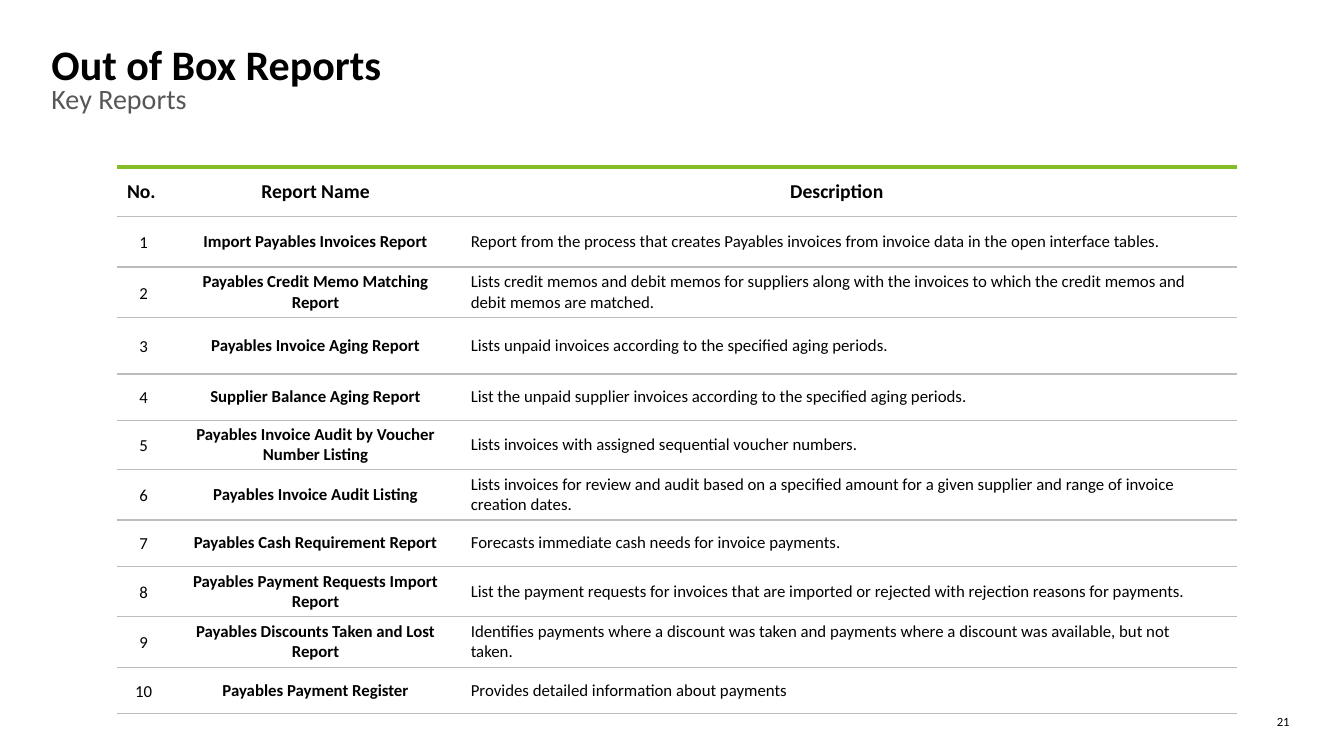
from lxml import etree
from pptx import Presentation
from pptx.dml.color import RGBColor
from pptx.enum import text
from pptx.oxml import ns
from pptx.util import Inches, Pt

BLACK, GREY, WHITE = "000000", "575757", "FFFFFF"
GREEN, RULE = "86BC25", "BCBCB9"
LEFT, CENTER, RIGHT = text.PP_ALIGN.LEFT, text.PP_ALIGN.CENTER, text.PP_ALIGN.RIGHT

COLUMN_WIDTHS = [0.53, 2.88, 7.46, 0.23]
ROW_HEIGHTS = [0.49, 0.5, 0.5, 0.56, 0.46, 0.49, 0.5, 0.46, 0.5, 0.5, 0.46]
HEADINGS = ["No.\u00a0", "Report Name", "Description", ""]
REPORTS = [
    ("Import Payables Invoices Report",
     "Report from the process that creates Payables invoices from invoice data in the open interface tables."),
    ("Payables Credit Memo Matching Report",
     "Lists credit memos and debit memos for suppliers along with the invoices to which the credit memos and "
     "debit memos are matched."),
    ("Payables Invoice Aging Report",
     "Lists unpaid invoices according to the specified aging periods."),
    ("Supplier Balance Aging Report",
     "List the unpaid supplier invoices according to the specified aging periods."),
    ("Payables Invoice Audit by Voucher Number Listing",
     "Lists invoices with assigned sequential voucher numbers."),
    ("Payables Invoice Audit Listing",
     "Lists invoices for review and audit based on a specified amount for a given supplier and range of invoice "
     "creation dates."),
    ("Payables Cash Requirement Report",
     "Forecasts immediate cash needs for invoice payments."),
    ("Payables Payment Requests Import Report",
     "List the payment requests for invoices that are imported or rejected with rejection reasons for payments."),
    ("Payables Discounts Taken and Lost Report",
     "Identifies payments where a discount was taken and payments where a discount was available, but not taken."),
    ("Payables Payment Register",
     "Provides detailed information about payments"),
]


def color(value):
    return RGBColor.from_string(value)


def write(paragraph, words, size, fill=BLACK, bold=False, align=LEFT):
    paragraph.text = words
    paragraph.alignment = align
    font = paragraph.font
    font.name, font.size, font.bold = "Calibri", Pt(size), bold
    font.color.rgb = color(fill)
    for run in paragraph.runs:
        run.font.name, run.font.size, run.font.bold = "Calibri", Pt(size), bold
        run.font.color.rgb = color(fill)


def add_text(slide, left, top, width, height, words, size, **style):
    frame = slide.shapes.add_textbox(
        Inches(left), Inches(top), Inches(width), Inches(height)).text_frame
    frame.word_wrap = True
    frame.margin_left = frame.margin_right = frame.margin_top = frame.margin_bottom = 0
    write(frame.paragraphs[0], words, size, **style)


def add_border(cell, side, fill=None, width=1):
    """Draw one side (L, R, T, B in that order); no fill hides it."""
    properties = cell._tc.get_or_add_tcPr()
    line = etree.SubElement(properties, ns.qn(f"a:ln{side}"), w=str(Pt(width)))
    if fill:
        solid = etree.SubElement(line, ns.qn("a:solidFill"))
        etree.SubElement(solid, ns.qn("a:srgbClr"), val=fill)
    else:
        etree.SubElement(line, ns.qn("a:noFill"))


def style_cell(cell, is_heading):
    cell.vertical_anchor = text.MSO_ANCHOR.MIDDLE
    cell.margin_top = cell.margin_bottom = Inches(0.04)
    add_border(cell, "L")
    add_border(cell, "R")
    if is_heading:
        add_border(cell, "T", GREEN, 3)
    else:
        add_border(cell, "T", RULE)
    add_border(cell, "B", RULE)
    cell.fill.solid()
    cell.fill.fore_color.rgb = color(WHITE)


def add_report_table(slide):
    rows = [HEADINGS] + [
        [str(number), name, description, ""]
        for number, (name, description) in enumerate(REPORTS, 1)]
    table = slide.shapes.add_table(
        len(rows), len(HEADINGS), Inches(1.16), Inches(1.66),
        Inches(sum(COLUMN_WIDTHS)), Inches(sum(ROW_HEIGHTS))).table
    table.first_row = table.horz_banding = False
    for column, width in zip(table.columns, COLUMN_WIDTHS):
        column.width = Inches(width)
    for row, height in zip(table.rows, ROW_HEIGHTS):
        row.height = Inches(height)

    heading_aligns = [LEFT, CENTER, CENTER, LEFT]
    report_aligns = [CENTER, CENTER, LEFT, LEFT]
    for row_index, values in enumerate(rows):
        is_heading = row_index == 0
        aligns = heading_aligns if is_heading else report_aligns
        for column_index, words in enumerate(values):
            cell = table.cell(row_index, column_index)
            style_cell(cell, is_heading)
            paragraph = cell.text_frame.paragraphs[0]
            write(paragraph, words, 14 if is_heading else 12,
                  bold=is_heading or column_index == 1, align=aligns[column_index])
            if column_index == 0 and not is_heading:
                paragraph.line_spacing = 1.1


def main():
    presentation = Presentation()
    presentation.slide_width, presentation.slide_height = Inches(13.33), Inches(7.5)
    slide = presentation.slides.add_slide(presentation.slide_layouts[6])
    add_text(slide, 12.45, 7.08, 0.34, 0.15, "21", 9, align=RIGHT)
    add_text(slide, 0.51, 0.81, 12.31, 0.83, "Key Reports", 20, fill=GREY)
    add_text(slide, 0.51, 0.38, 12.31, 0.37, "Out of Box Reports", 30, bold=True)
    add_report_table(slide)
    presentation.save("out.pptx")


if __name__ == "__main__":
    main()
